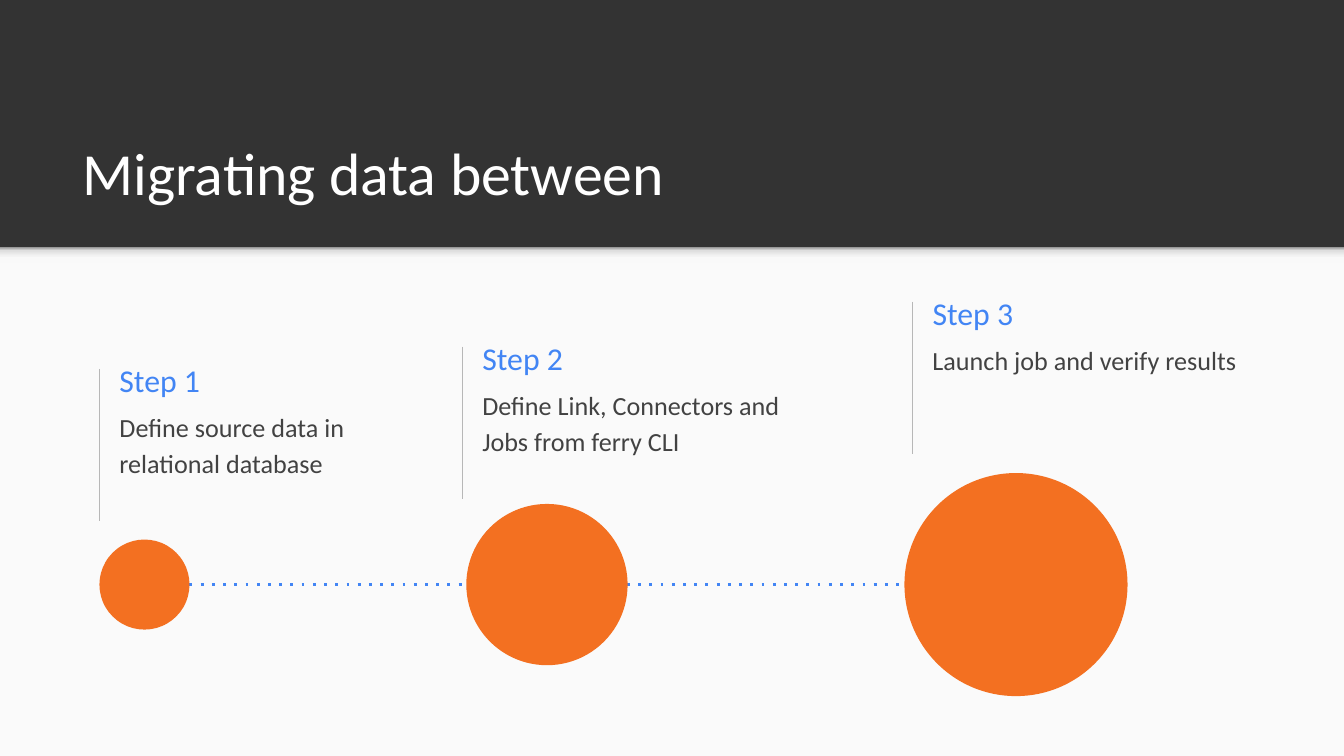
import pptx
import pptx.dml.color
import pptx.enum.shapes
import pptx.enum.text
import pptx.oxml
import pptx.oxml.ns
import pptx.util

PX = 4572  # EMU per px, 200 px to the inch
WIDTH, HEIGHT = 2000, 1125
HEADER_BOTTOM = 368
TIMELINE_Y = 870
RULE_LENGTH = 227

COLORS = {
    "header": "333333",
    "paper": "FAFAFA",
    "title": "FFFFFF",
    "accent": "4285F4",
    "body": "424242",
    "rule": "B7B7B7",
    "circle": "F37021",
}
SHADOW_STOPS = [(0, "F9F9F9"), (36, "F9F9F9"), (80, "DEDEDE"), (100, "999999")]

ANCHOR = pptx.enum.text.MSO_ANCHOR
SHAPE = pptx.enum.shapes.MSO_SHAPE
FORMATS = {
    "title": {"size": 32, "anchor": ANCHOR.BOTTOM, "paragraph": {}},
    "heading": {"size": 17, "anchor": ANCHOR.MIDDLE, "paragraph": {}},
    "body": {
        "size": 14,
        "anchor": ANCHOR.TOP,
        "paragraph": {"line_spacing": 1.15, "space_after": pptx.util.Pt(16)},
    },
}

# heading, description, rule left, rule top, description width, circle left, diameter
STEPS = [
    ("Step 1", "Define source data in relational database", 148, 549, 458, 148, 134),
    ("Step 2", "Define Link, Connectors and Jobs from ferry CLI", 688, 516, 534, 694, 240),
    ("Step 3", "Launch job and verify results", 1358, 449, 534, 1346, 332),
]


def rgb(name):
    return pptx.dml.color.RGBColor.from_string(COLORS[name])


def emu(*lengths):
    return [pptx.util.Emu(length * PX) for length in lengths]


def drawing_xml(tag, attributes="", content=""):
    """Return a DrawingML element."""
    namespace = pptx.oxml.ns.nsdecls("a")
    return pptx.oxml.parse_xml(f"<a:{tag} {namespace} {attributes}>{content}</a:{tag}>")


class Deck:
    def __init__(self, font):
        self.font = font
        self.presentation = pptx.Presentation()
        self.presentation.slide_width, self.presentation.slide_height = emu(WIDTH, HEIGHT)
        self.slide = None

    def add_slide(self, background):
        self.slide = self.presentation.slides.add_slide(self.presentation.slide_layouts[6])
        fill = self.slide.background.fill
        fill.solid()
        fill.fore_color.rgb = rgb(background)

    def shape(self, kind, left, top, width, height, color):
        figure = self.slide.shapes.add_shape(kind, *emu(left, top, width, height))
        figure.shadow.inherit = False
        figure.fill.solid()
        figure.fill.fore_color.rgb = rgb(color)
        figure.line.fill.background()
        return figure

    def shadow_band(self, left, top, width, height):
        """Add a strip that fades from dark at its top to the paper colour."""
        band = self.shape(SHAPE.RECTANGLE, left, top, width, height, "paper")
        stops = "".join(
            f'<a:gs pos="{percent * 1000}"><a:srgbClr val="{color}"/></a:gs>'
            for percent, color in SHADOW_STOPS
        )
        gradient = drawing_xml(
            "gradFill",
            content=f'<a:gsLst>{stops}</a:gsLst><a:lin ang="16200000" scaled="0"/>',
        )
        properties = band._element.spPr
        properties.replace(properties.find(pptx.oxml.ns.qn("a:solidFill")), gradient)

    def text(self, words, left, top, width, height, style, color):
        box = self.slide.shapes.add_textbox(*emu(left, top, width, height))
        inset = emu(20)[0]
        frame_format = {
            "word_wrap": True,
            "vertical_anchor": FORMATS[style]["anchor"],
            "margin_left": inset,
            "margin_top": inset,
            "margin_right": inset,
            "margin_bottom": inset,
        }
        for attribute, value in frame_format.items():
            setattr(box.text_frame, attribute, value)
        paragraph = box.text_frame.paragraphs[0]
        for attribute, value in FORMATS[style]["paragraph"].items():
            setattr(paragraph, attribute, value)
        run = paragraph.add_run()
        run.text = words
        font_format = {"name": self.font, "size": pptx.util.Pt(FORMATS[style]["size"])}
        for attribute, value in font_format.items():
            setattr(run.font, attribute, value)
        run.font.color.rgb = rgb(color)

    def line(self, x1, y1, x2, y2, color, points, dash=None):
        connector = self.slide.shapes.add_connector(
            pptx.enum.shapes.MSO_CONNECTOR.STRAIGHT, *emu(x1, y1, x2, y2)
        )
        connector.line.color.rgb = rgb(color)
        connector.line.width = pptx.util.Pt(points)
        properties = connector._element.spPr
        if dash:
            outline = properties.find(pptx.oxml.ns.qn("a:ln"))
            outline.append(drawing_xml("prstDash", f'val="{dash}"'))
        properties.append(drawing_xml("effectLst"))


def main():
    deck = Deck("Calibri")
    deck.add_slide("header")
    deck.shape(SHAPE.RECTANGLE, 0, HEADER_BOTTOM, WIDTH, HEIGHT - HEADER_BOTTOM, "paper")
    deck.shadow_band(0, HEADER_BOTTOM, WIDTH, 24)
    deck.text("Migrating data between", 103, 161, 1798, 168, "title", "title")

    for heading, description, left, top, width, _, _ in STEPS:
        deck.line(left, top, left, top + RULE_LENGTH, "rule", 0.75)
        deck.text(heading, left + 10, top - 27, 396, 86, "heading", "accent")
        deck.text(description, left + 10, top + 37, width, 126, "body", "body")

    circles = [step[-2:] for step in STEPS]
    timeline_start, timeline_end = sum(circles[0]), circles[-1][0]
    deck.line(timeline_start, TIMELINE_Y, timeline_end, TIMELINE_Y, "accent", 1.5, "dot")
    for left, diameter in circles:
        deck.shape(SHAPE.OVAL, left, TIMELINE_Y - diameter // 2, diameter, diameter, "circle")

    deck.presentation.save("out.pptx")


if __name__ == "__main__":
    main()
